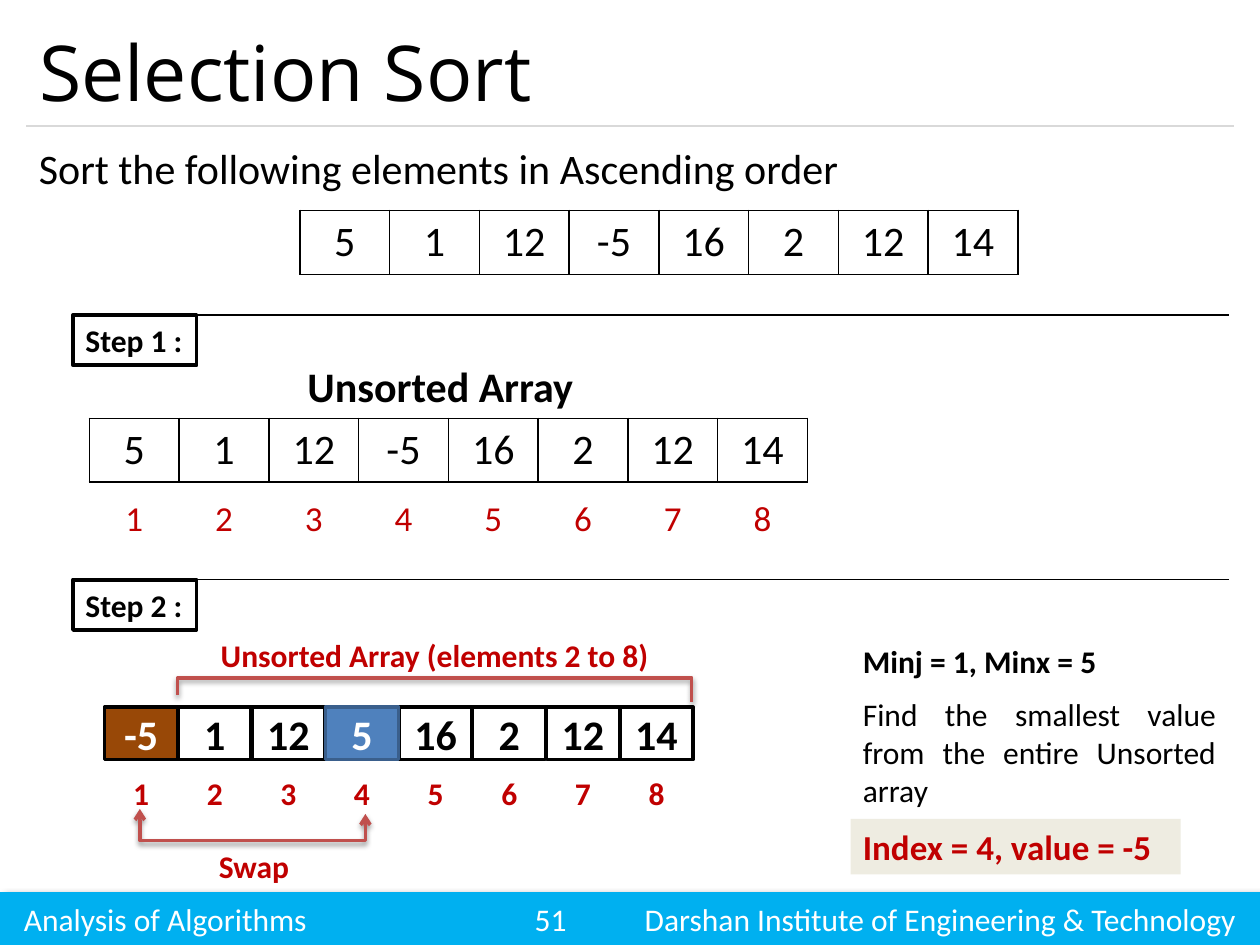
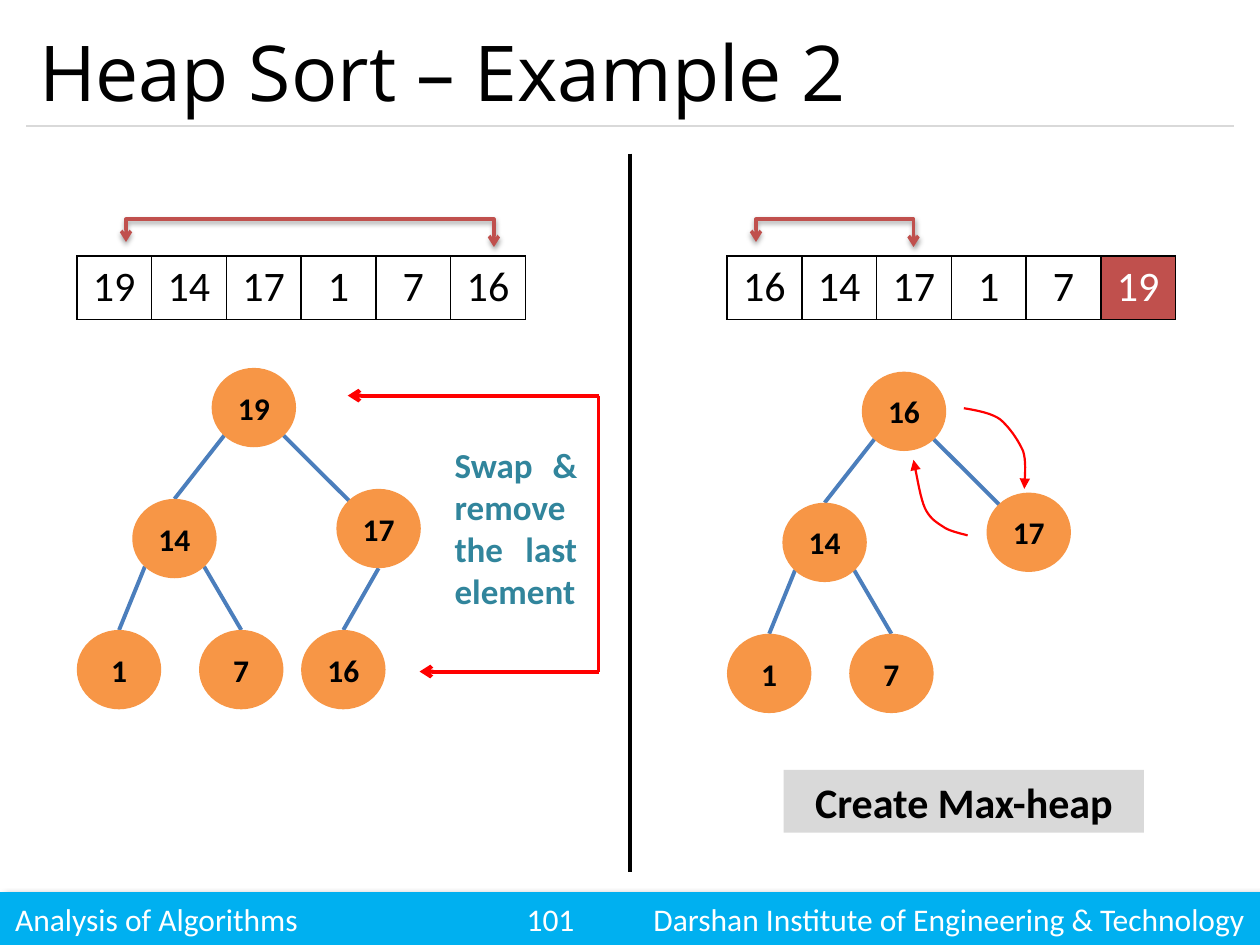
import pptx
import pptx.util
import pptx.dml.color
import pptx.enum.shapes
import pptx.enum.text
import pptx.oxml
from pptx.oxml.ns import qn
from pptx.util import Inches
from lxml import etree

COLORS = {
    "black": "000000", "white": "FFFFFF", "band": "00B0F0", "rule": "D9D9D9",
    "dark_red": "C00000", "bracket": "C0504D", "red": "FF0000", "sorted": "984807",
    "minimum": "4F81BD", "minimum_line": "3A5F8C", "result": "EEECE1",
    "node": "F79646", "edge": "4B7EBC", "teal": "31859C",
}
SHAPE = pptx.enum.shapes.MSO_SHAPE
ANCHOR = pptx.enum.text.MSO_ANCHOR
ALIGN = {
    "l": pptx.enum.text.PP_ALIGN.LEFT,
    "c": pptx.enum.text.PP_ALIGN.CENTER,
    "j": pptx.enum.text.PP_ALIGN.JUSTIFY,
}
COURSE = "Analysis of Algorithms"
INSTITUTE = "Darshan Institute of Engineering & Technology"

ELEMENTS = [5, 1, 12, -5, 16, 2, 12, 14]
SWAPPED = [-5, 1, 12, 5, 16, 2, 12, 14]
INDEXES = range(1, 9)
HIGHLIGHTS = {0: ("sorted", "black"), 3: ("minimum", "minimum_line")}
STEPS = [("Step 1 :", 2.5), ("Step 2 :", 4.6)]
SELECTION_TEXTS = [
    ("Sort the following elements in Ascending order", (0.21, 1.08, 6.75, 0.5), 24, "black", False, "l"),
    ("Unsorted Array", (2.33, 2.81, 2.33, 0.5), 24, "black", True, "c"),
    ("Minj = 1, Minx = 5", (6.75, 5.05, 2.3, 0.4), 18, "black", True, "l"),
    ("Find the smallest value from the entire Unsorted array", (6.75, 5.47, 3, 1.01), 18, "black", False, "j"),
    ("Unsorted Array (elements 2 to 8)", (1.41, 5, 4.08, 0.4), 18, "dark_red", True, "c"),
    ("Swap", (1.52, 6.67, 0.99, 0.4), 18, "dark_red", True, "c"),
]
UNSORTED_BRACKET = [(5.49, 5.57), (5.49, 5.38), (1.41, 5.38), (1.41, 5.52)]
SWAP_BRACKET = [(1.11, 6.42), (1.11, 6.67), (2.9, 6.67), (2.9, 6.46)]

HEAP_NODES = {19: (1.68, 2.92), 14: (1.05, 3.96), 17: (2.67, 3.88),
              1: (0.61, 5), 7: (1.58, 5), 16: (2.39, 5)}
HEAP_EDGES = [
    (19, "lower left", 14, "top"), (19, "lower right", 17, "upper left"),
    (14, "lower left", 1, "top"), (14, "lower right", 7, "top"),
    (17, "bottom", 16, "top"),
]
NODE_SIDES = {"top": (0.5, 0), "bottom": (0.5, 1), "upper left": (0.15, 0.15),
              "lower left": (0.15, 0.85), "lower right": (0.85, 0.85)}
NODE_SIZE = (0.67, 0.63)
HEAPS = [
    {"array": [19, 14, 17, 1, 7, 16], "left": 0.61, "swap": (1, 3.92), "fills": {},
     "shift": (0, 0), "root": 19, "removed": None},
    {"array": [16, 14, 17, 1, 7, 19], "left": 5.77, "swap": (6, 7.25), "fills": {5: "bracket"},
     "shift": (5.16, 0.03), "root": 16, "removed": 16},
]
REMOVE_LINES = [((4.75, 3.14), (2.76, 3.14), "arrow"), ((4.75, 3.14), (4.75, 5.33), None),
                ((4.75, 5.33), (3.33, 5.33), "arrow")]
EXCHANGE_CURVES = [
    [(7.68, 4.25), (7.65, 4.24), (7.55, 4.22), (7.5, 4.19), (7.44, 4.15), (7.38, 4.12),
     (7.34, 4.03), (7.3, 3.94), (7.27, 3.73), (7.25, 3.65)],
    [(7.65, 3.24), (7.7, 3.25), (7.86, 3.27), (7.94, 3.33), (8.01, 3.39), (8.08, 3.49),
     (8.12, 3.58), (8.15, 3.67), (8.13, 3.82), (8.13, 3.88)],
]


def rgb(name):
    return pptx.dml.color.RGBColor.from_string(COLORS[name])


def write(frame, text, size, color="black", bold=False, align="l", font="Calibri"):
    frame.word_wrap = True
    paragraph = frame.paragraphs[0]
    paragraph.alignment = ALIGN[align]
    run = paragraph.add_run()
    run.text = str(text)
    run.font.size = pptx.util.Pt(size)
    run.font.name = font
    run.font.bold = bold
    run.font.color.rgb = rgb(color)


def stroke(item, color, width, head=None, tail=None):
    item.line.color.rgb = rgb(color)
    item.line.width = pptx.util.Pt(width)
    outline = item.element.spPr.find(qn("a:ln"))
    for tag, kind in (("a:headEnd", head), ("a:tailEnd", tail)):
        if kind:
            etree.SubElement(outline, qn(tag), type=kind)


def add_shadow(item, alpha, blur, distance, angle):
    effects = item.element.spPr.find(qn("a:effectLst"))
    shadow = etree.SubElement(
        effects, qn("a:outerShdw"), blurRad=str(pptx.util.Pt(blur)),
        dist=str(pptx.util.Pt(distance)), dir=str(angle * 60000), rotWithShape="0")
    tint = etree.SubElement(shadow, qn("a:srgbClr"), val=COLORS["black"])
    etree.SubElement(tint, qn("a:alpha"), val=str(alpha * 1000))


def add_text(shapes, text, at, *style):
    write(shapes.add_textbox(*map(Inches, at)).text_frame, text, *style)


def add_box(shapes, at, fill=None, line=None, width=2, kind=SHAPE.RECTANGLE, anchor=ANCHOR.MIDDLE):
    box = shapes.add_shape(kind, *map(Inches, at))
    box.shadow.inherit = False
    box.text_frame.vertical_anchor = anchor
    if fill:
        box.fill.solid()
        box.fill.fore_color.rgb = rgb(fill)
    else:
        box.fill.background()
    if line:
        stroke(box, line, width)
    else:
        box.line.fill.background()
    return box


def add_line(shapes, start, end, color, width, tail=None):
    line = shapes.add_connector(pptx.enum.shapes.MSO_CONNECTOR.STRAIGHT, *map(Inches, start + end))
    stroke(line, color, width, tail=tail)
    etree.SubElement(line.element.spPr, qn("a:effectLst"))


def add_outline(shapes, points, color, width, head=None, tail=None):
    corners = [(Inches(x), Inches(y)) for x, y in points]
    builder = shapes.build_freeform(*corners[0])
    builder.add_line_segments(corners[1:], close=False)
    outline = builder.convert_to_shape()
    outline.shadow.inherit = False
    outline.fill.background()
    stroke(outline, color, width, head, tail)
    return outline


def add_bracket(shapes, points, end=None):
    add_shadow(add_outline(shapes, points, "bracket", 2, end, end), 38, 3.1, 1.6, 90)


def curve_points(controls, steps=10):
    points = [controls[0]]
    for first in range(0, len(controls) - 1, 3):
        segment = controls[first:first + 4]
        for step in range(1, steps + 1):
            t = step / steps
            weights = ((1 - t) ** 3, 3 * t * (1 - t) ** 2, 3 * t * t * (1 - t), t ** 3)
            points.append(tuple(sum(w * p[axis] for w, p in zip(weights, segment)) for axis in (0, 1)))
    return points


def add_array(slide, values, at, size=24, color="black", bordered=True, fills={}):
    array = slide.shapes.add_table(1, len(values), *map(Inches, at)).table
    array.first_row = array.horz_banding = False
    for index, value in enumerate(values):
        array.columns[index].width = Inches(at[2] / len(values))
        cell = array.cell(0, index)
        if bordered:
            for side in ("a:lnL", "a:lnR", "a:lnT", "a:lnB"):
                border = etree.SubElement(cell._tc.get_or_add_tcPr(), qn(side), w="12700")
                ink = etree.SubElement(border, qn("a:solidFill"))
                etree.SubElement(ink, qn("a:srgbClr"), val=COLORS["black"])
        if index in fills:
            cell.fill.solid()
            cell.fill.fore_color.rgb = rgb(fills[index])
        else:
            cell.fill.background()
        write(cell.text_frame, value, size, "white" if index in fills else color, False, "c")


def add_slide(deck, title, number, footer_edge):
    slide = deck.slides.add_slide(deck.slide_layouts[5])
    band = add_box(slide.shapes, (0, 7.08, 10, 0.42), "band")
    add_shadow(band, 40, 4, 3, 45)
    frame = band.text_frame
    frame.margin_left, frame.margin_right = Inches(footer_edge), 0
    stops = etree.SubElement(frame.paragraphs[0]._p.get_or_add_pPr(), qn("a:tabLst"))
    for position, align in ((4.37, "ctr"), (10 - footer_edge, "r")):
        etree.SubElement(stops, qn("a:tab"), pos=str(Inches(position - footer_edge)), algn=align)
    for part in (COURSE, f"\t{number}", f"\t{INSTITUTE}"):
        write(frame, part, 18, "white")
    add_line(slide.shapes, (0.21, 1), (9.79, 1), "rule", 0.75)
    heading = slide.shapes.title
    heading.left, heading.top, heading.width, heading.height = map(Inches, (0.21, 0.12, 9.58, 0.88))
    heading.text_frame.vertical_anchor = ANCHOR.MIDDLE
    write(heading.text_frame, title, 44, font="Open Sans")
    return slide


def build_selection_sort(deck):
    slide = add_slide(deck, "Selection Sort", 51, 0.19)
    shapes = slide.shapes
    add_array(slide, ELEMENTS, (2.38, 1.67, 5.7, 0.5))
    add_array(slide, ELEMENTS, (0.71, 3.32, 5.7, 0.5))
    add_array(slide, INDEXES, (0.71, 3.9, 5.7, 0.43), 20, "dark_red", False)
    for step, top in STEPS:
        add_line(shapes, (0.58, top), (9.75, top), "black", 0.75)
        label = add_box(shapes, (0.58, top, 0.98, 0.4), None, "black", 2.25, anchor=ANCHOR.TOP)
        write(label.text_frame, step, 18, "black", True)
        label.text_frame.word_wrap = False
    pitch = (4.92 - 0.83) / 7
    for index in sorted(range(8), key=lambda i: i in HIGHLIGHTS):
        left = 0.83 + index * pitch
        fill, line = HIGHLIGHTS.get(index, ("white", "black"))
        element = add_box(shapes, (left, 5.61, 0.58, 0.42), fill, line)
        write(element.text_frame, SWAPPED[index], 24, "white" if index in HIGHLIGHTS else "black", True, "c")
        position = add_box(shapes, (left, 6.08, 0.58, 0.42), "white")
        write(position.text_frame, INDEXES[index], 18, "dark_red", True, "c")
    add_bracket(shapes, UNSORTED_BRACKET)
    add_bracket(shapes, SWAP_BRACKET, "arrow")
    for text in SELECTION_TEXTS:
        add_text(shapes, *text)
    result = add_box(shapes, (6.75, 6.5, 2.62, 0.44), "result", anchor=ANCHOR.TOP)
    write(result.text_frame, "Index = 4, value = -5", 20, "dark_red", True)


def add_heap(slide, heap):
    add_array(slide, heap["array"], (heap["left"], 2.03, 3.56, 0.5), fills=heap["fills"])
    first, last = heap["swap"]
    add_bracket(slide.shapes, [(last, 1.96), (last, 1.74), (first, 1.74), (first, 1.92)], "arrow")
    tree = slide.shapes.add_group_shape().shapes
    shift_x, shift_y = heap["shift"]
    places = {value: (x + shift_x, y + shift_y) for value, (x, y) in HEAP_NODES.items()
              if value != heap["removed"]}

    def site(value, side):
        return tuple(start + part * size for start, part, size
                     in zip(places[value], NODE_SIDES[side], NODE_SIZE))

    for parent, parent_side, child, child_side in HEAP_EDGES:
        if child in places:
            add_line(tree, site(parent, parent_side), site(child, child_side), "edge", 2.25)
    for value, place in places.items():
        node = add_box(tree, place + NODE_SIZE, "node", kind=SHAPE.OVAL)
        write(node.text_frame, heap["root"] if value == 19 else value, 18, "black", True, "c")


def build_heap_sort(deck):
    slide = add_slide(deck, "Heap Sort – Example 2", 101, 0.12)
    add_line(slide.shapes, (5, 1.22), (5, 6.92), "black", 2.25)
    for heap in HEAPS:
        add_heap(slide, heap)
    removal = slide.shapes.add_group_shape().shapes
    for start, end, tail in REMOVE_LINES:
        add_line(removal, start, end, "red", 2.25, tail)
    add_text(slide.shapes, "Swap & remove the last element", (3.51, 3.47, 1.17, 1.45), 20, "teal", True, "j")
    for controls in EXCHANGE_CURVES:
        add_outline(slide.shapes, curve_points(controls), "red", 1.25, tail="triangle")
    action = add_box(slide.shapes, (6.22, 6.11, 2.86, 0.5), "rule", anchor=ANCHOR.TOP)
    write(action.text_frame, "Create Max-heap", 24, "black", True, "c")


def main():
    deck = pptx.Presentation()
    deck.slide_width, deck.slide_height = Inches(10), Inches(7.5)
    build_selection_sort(deck)
    build_heap_sort(deck)
    deck.save("out.pptx")


if __name__ == "__main__":
    main()
